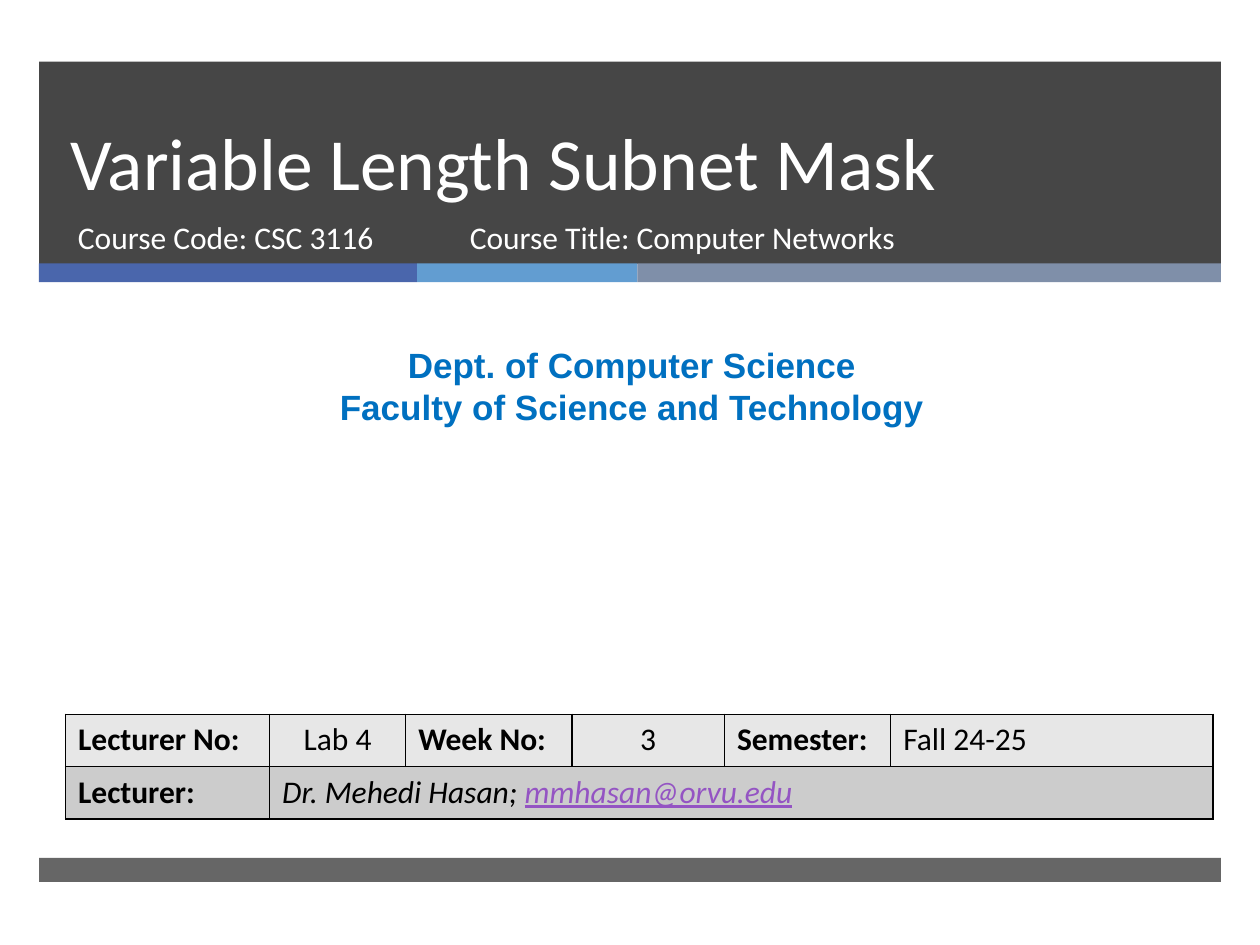
from dataclasses import dataclass
from typing import NamedTuple

from lxml.etree import SubElement
from pptx import Presentation
from pptx.dml.color import RGBColor
from pptx.enum.shapes import MSO_SHAPE as Shape
from pptx.enum.text import MSO_ANCHOR as Anchor, PP_ALIGN as Align
from pptx.oxml import parse_xml
from pptx.oxml.ns import nsdecls, qn
from pptx.util import Inches, Pt

WIDE, HIGH = Inches(10), Inches(7.5)


@dataclass(frozen=True)
class Theme:
    dark: str = "262626"
    blue: str = "4A66AC"
    sky: str = "629DD1"
    slate: str = "7F8FA9"
    white: str = "FFFFFF"
    black: str = "000000"
    dept: str = "0070C0"
    mail: str = "9454C3"
    light: str = "E7E7E7"
    grey: str = "CCCCCC"
    body: str = "Calibri"
    sans: str = "Arial"
    big: int = 42
    mid: int = 20
    small: int = 18


THEME = Theme()


class Box(NamedTuple):
    """Left, top, width and height in percent of the slide."""
    x: float
    y: float
    w: float
    h: float

    def emu(self) -> list[int]:
        return [int(part * side / 100) for part, side in zip(self, (WIDE, HIGH) * 2)]


class Bar(NamedTuple):
    box: Box
    color: str
    alpha: int = 100


class Label(NamedTuple):
    box: Box
    lines: str
    size: int
    color: str = THEME.white
    font: str = THEME.body
    bold: bool = False
    align: Align = Align.LEFT
    anchor: Anchor = Anchor.TOP
    pitch: int | None = None


class Entry(NamedTuple):
    text: str
    bold: bool = False
    align: Align = Align.LEFT
    italic: bool = False


LEFT, SPAN = 3.1, 93.8
STRIPE, THIN = 27.87, 2
NOTE, TALL = 22.4, 7.07

BARS = [
    Bar(Box(LEFT, 6.53, SPAN, 21.4), THEME.dark, 85),
    Bar(Box(LEFT, STRIPE, 30, THIN), THEME.blue),
    Bar(Box(33.1, STRIPE, 17.5, THIN), THEME.sky),
    Bar(Box(50.6, STRIPE, 46.3, THIN), THEME.slate),
    Bar(Box(LEFT, 90.8, SPAN, 2.53), THEME.dark, 70),
]

LABELS = [
    Label(Box(4.6, 6.53, 85.4, 15.87), "Variable Length Subnet Mask", THEME.big,
          anchor=Anchor.BOTTOM, pitch=46),
    Label(Box(5.2, NOTE, 30.5, TALL), "Course Code: CSC 3116", THEME.small),
    Label(Box(0.8, 35.73, 98.7, 10.27),
          "Dept. of Computer Science\nFaculty of Science and Technology",
          THEME.mid, THEME.dept, THEME.sans, True, Align.CENTER),
    Label(Box(36.3, NOTE, 45.5, TALL), "Course Title: Computer Networks", THEME.small),
]

GRID = Box(5.2, 75.6, 91.1, 11.07)
COLS = [16.2, 10.8, 13.2, 12.1, 13.2, 25.6]
ROWS = [
    [Entry("Lecturer No:", True), Entry("Lab 4", align=Align.CENTER),
     Entry("Week No:", True), Entry("3", align=Align.CENTER),
     Entry("Semester:", True), Entry("Fall 24-25")],
    [Entry("Lecturer:", True), Entry("Dr. Mehedi Hasan; ", italic=True)],
]
MAIL = "mmhasan@orvu.edu"


def style(run, size: int, color: str, font: str = THEME.body,
          bold: bool = False, italic: bool = False) -> None:
    face = run.font
    face.name, face.size = font, Pt(size)
    face.bold, face.italic = bold, italic
    face.color.rgb = RGBColor.from_string(color)


def draw_bar(slide, bar: Bar) -> None:
    shape = slide.shapes.add_shape(Shape.RECTANGLE, *bar.box.emu())
    shape.shadow.inherit = False
    shape.line.fill.background()
    shape.fill.solid()
    shape.fill.fore_color.rgb = RGBColor.from_string(bar.color)
    if bar.alpha < 100:
        tint = shape.fill._xPr.find(f".//{qn('a:srgbClr')}")
        SubElement(tint, qn("a:alpha"), val=str(bar.alpha * 1000))


def draw_label(slide, label: Label) -> None:
    frame = slide.shapes.add_textbox(*label.box.emu()).text_frame
    frame.word_wrap = True
    frame.vertical_anchor = label.anchor
    frame.text = label.lines
    for para in frame.paragraphs:
        para.alignment = label.align
        if label.pitch:
            para.line_spacing = Pt(label.pitch)
        for run in para.runs:
            style(run, label.size, label.color, label.font, label.bold)


def frame_cell(cell) -> None:
    """Rule all four sides of a cell."""
    props = cell._tc.get_or_add_tcPr()
    for spot, side in enumerate("LRTB"):
        props.insert(spot, parse_xml(
            f'<a:ln{side} {nsdecls("a")} w="{Pt(1)}"><a:solidFill>'
            f'<a:srgbClr val="{THEME.black}"/></a:solidFill></a:ln{side}>'))


def draw_table(slide) -> None:
    table = slide.shapes.add_table(len(ROWS), len(COLS), *GRID.emu()).table
    for col, share in zip(table.columns, COLS):
        col.width = int(WIDE * share / 100)
    for row, fill in zip(table.rows, (THEME.light, THEME.grey)):
        for cell in row.cells:
            cell.fill.solid()
            cell.fill.fore_color.rgb = RGBColor.from_string(fill)
            frame_cell(cell)
    for r, row in enumerate(ROWS):
        for c, entry in enumerate(row):
            para = table.cell(r, c).text_frame.paragraphs[0]
            para.text = entry.text
            para.alignment = entry.align
            style(para.runs[0], THEME.small, THEME.black,
                  bold=entry.bold, italic=entry.italic)
    host = table.cell(1, 1)
    host.merge(table.cell(1, len(COLS) - 1))
    mail = host.text_frame.paragraphs[0].add_run()
    mail.text = MAIL
    style(mail, THEME.small, THEME.mail, italic=True)
    mail.font.underline = True


def main() -> None:
    deck = Presentation()
    deck.slide_width, deck.slide_height = WIDE, HIGH
    slide = deck.slides.add_slide(deck.slide_layouts[6])
    for bar in BARS:
        draw_bar(slide, bar)
    for label in LABELS:
        draw_label(slide, label)
    draw_table(slide)
    deck.save("out.pptx")


if __name__ == "__main__":
    main()
